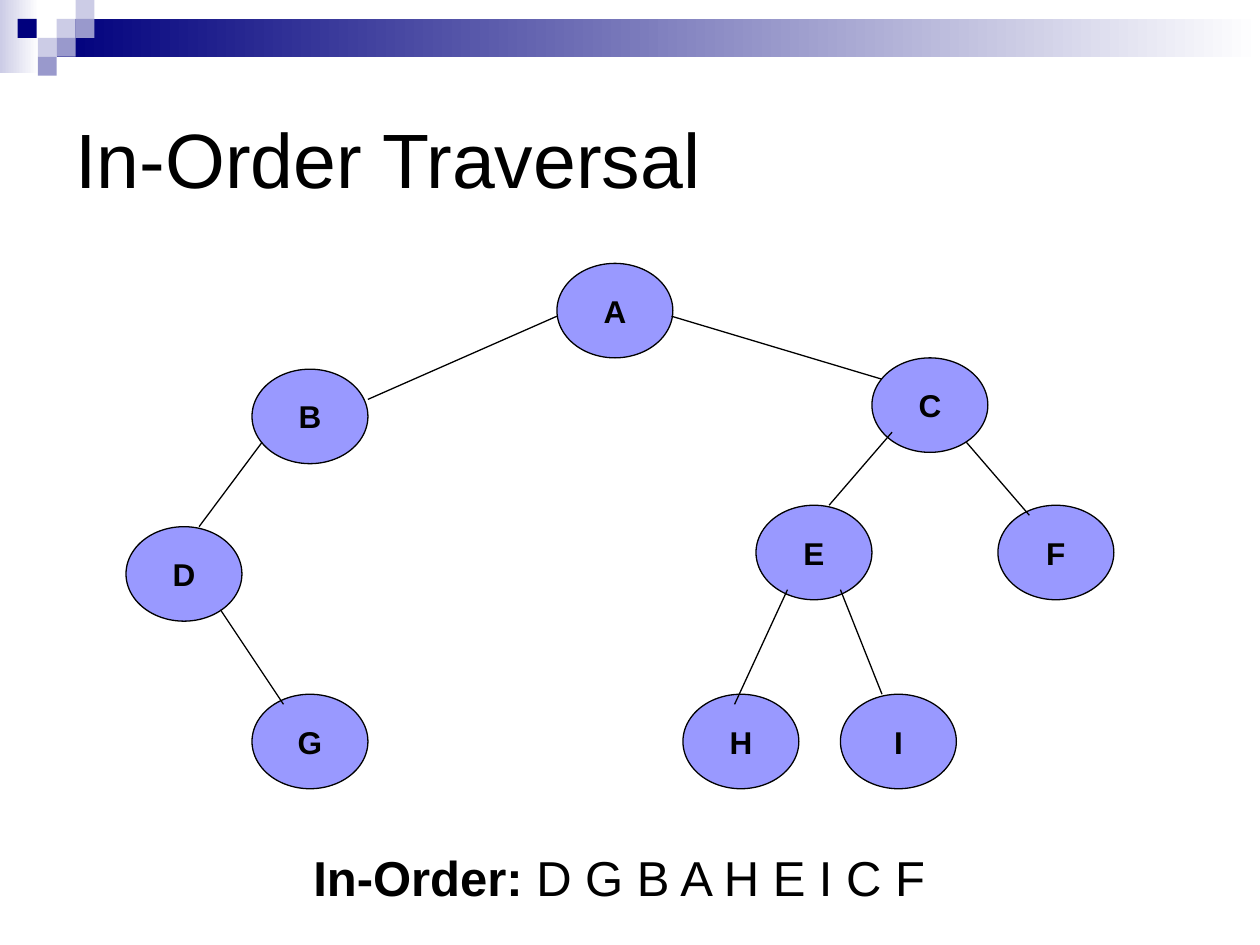
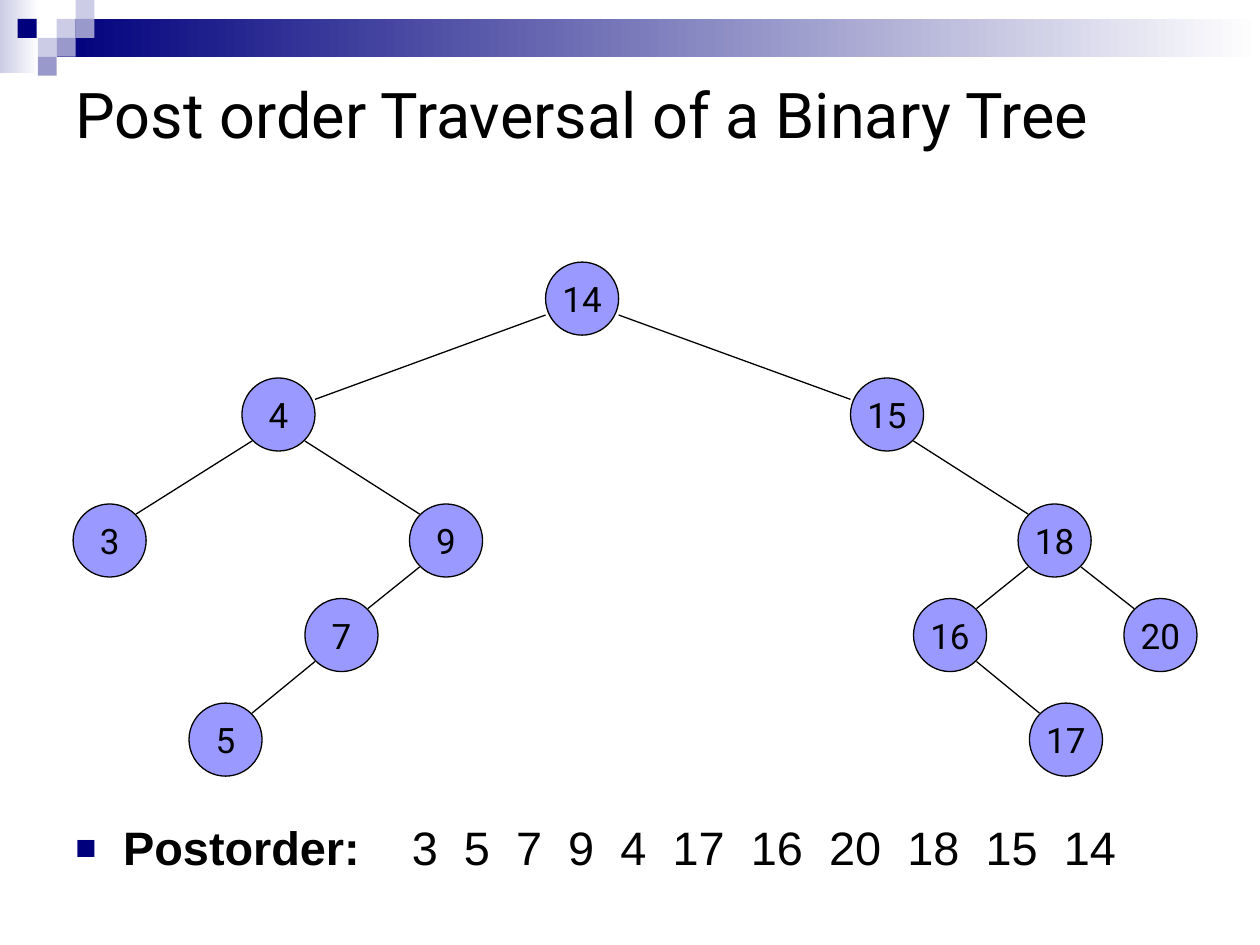
from lxml import etree
from pptx import Presentation
from pptx.dml.color import RGBColor
from pptx.enum.shapes import MSO_CONNECTOR, MSO_SHAPE
from pptx.enum.text import MSO_ANCHOR, MSO_AUTO_SIZE, PP_ALIGN
from pptx.oxml.ns import qn
from pptx.util import Inches, Pt

BLACK, NAVY, WHITE = "000000", "00007D", "FFFFFF"
NODE_FILL, PALE, MID = "9999FF", "CCCCE6", "9999CC"
SQUARE = 0.15
BAND_SQUARES = [(0.45, 0.15, PALE), (0.6, 0, PALE), (0.6, 0.15, MID), (0.3, 0.3, PALE),
                (0.14, 0.15, NAVY), (0.45, 0.3, MID), (0.3, 0.45, MID)]

LETTER_SIZE = (0.92, 0.75)
LETTER_NODES = {"A": (4.42, 2.09), "B": (2, 2.93), "C": (6.92, 2.84), "D": (1, 4.18),
                "E": (6, 4.01), "F": (7.92, 4.01), "G": (2, 5.51), "H": (5.42, 5.51),
                "I": (6.67, 5.51)}
LETTER_EDGES = [(4.42, 2.51, 2.92, 3.17), (5.33, 2.51, 7, 3.01), (2.08, 3.51, 1.58, 4.18),
                (1.75, 4.84, 2.25, 5.59), (7.08, 3.43, 6.58, 4.01), (7.67, 3.51, 8.17, 4.09),
                (6.25, 4.68, 5.83, 5.59), (6.67, 4.68, 7, 5.51)]

NUMBER_SIZE = (0.58, 0.58)
NUMBER_ROOT = "14"
NUMBER_NODES = {"14": (4.33, 2.08), "4": (1.92, 3), "15": (6.75, 3), "3": (0.58, 4),
                "9": (3.25, 4), "18": (8.08, 4), "7": (2.42, 4.75), "16": (7.25, 4.75),
                "20": (8.92, 4.75), "5": (1.5, 5.58), "17": (8.17, 5.58)}
NUMBER_EDGES = [("14", "4"), ("14", "15"), ("4", "3"), ("4", "9"), ("9", "7"), ("7", "5"),
                ("15", "18"), ("18", "16"), ("18", "20"), ("16", "17")]
POSTORDER = ["3", "5", "7", "9", "4", "17", "16", "20", "18", "15", "14"]


def rgb(color):
    return RGBColor.from_string(color)


def add_run(p, text, size, font="Arial", bold=False):
    r = p.add_run()
    r.text = text
    r.font.size, r.font.name, r.font.bold = Pt(size), font, bold
    r.font.color.rgb = rgb(BLACK)


def add_rect(slide, x, y, w, h, color, fade_to=None):
    sp = slide.shapes.add_shape(MSO_SHAPE.RECTANGLE, *map(Inches, (x, y, w, h)))
    sp.shadow.inherit = False
    sp.line.fill.background()
    if fade_to:
        sp.fill.gradient()
        sp.fill.gradient_angle = 0
        for stop, stop_color in zip(sp.fill.gradient_stops, (color, fade_to)):
            stop.color.rgb = rgb(stop_color)
    else:
        sp.fill.solid()
        sp.fill.fore_color.rgb = rgb(color)
    return sp


def add_master_band(prs, slide):
    """Draw the top band on a slide, then move it to the back of the master."""
    band = [add_rect(slide, 0, 0, 0.31, 0.58, PALE, WHITE),
            add_rect(slide, 0.45, 0.15, 9.55, 0.3, NAVY, WHITE)]
    band += [add_rect(slide, x, y, SQUARE, SQUARE, color) for x, y, color in BAND_SQUARES]
    for i, sp in enumerate(band, start=2):
        prs.slide_master.shapes.element.insert(i, sp.element)


def set_title(slide, text, top, height, size, font):
    title = slide.shapes.title
    title.left, title.top = Inches(0.5), Inches(top)
    title.width, title.height = Inches(9), Inches(height)
    tf = title.text_frame
    tf.vertical_anchor = MSO_ANCHOR.MIDDLE
    p = tf.paragraphs[0]
    p.alignment = PP_ALIGN.LEFT
    add_run(p, text, size, font)


def add_node(slide, label, position, node_size, size, font, bold=False):
    sp = slide.shapes.add_shape(MSO_SHAPE.OVAL, *map(Inches, position + node_size))
    sp.shadow.inherit = False
    sp.fill.solid()
    sp.fill.fore_color.rgb = rgb(NODE_FILL)
    sp.line.color.rgb = rgb(BLACK)
    sp.line.width = Pt(0.75)
    tf = sp.text_frame
    tf.word_wrap = False
    tf.vertical_anchor = MSO_ANCHOR.MIDDLE
    p = tf.paragraphs[0]
    p.alignment = PP_ALIGN.CENTER
    add_run(p, label, size, font, bold)


def add_edge(slide, x1, y1, x2, y2):
    line = slide.shapes.add_connector(MSO_CONNECTOR.STRAIGHT, *map(Inches, (x1, y1, x2, y2)))
    line.line.color.rgb = rgb(BLACK)
    line.line.width = Pt(0.75)
    etree.SubElement(line.element.spPr, qn("a:effectLst"))


def number_edge(parent, child):
    """Ends of an edge: the root joins at the sides, other nodes at the corners."""
    (px, py), (cx, cy) = NUMBER_NODES[parent], NUMBER_NODES[child]
    if parent == NUMBER_ROOT:
        left, right, leave, arrive = 0, 0.58, 0.42, 0.17
    else:
        left, right, leave, arrive = 0.08, 0.5, 0.5, 0.08
    start, end = (left, right) if cx < px else (right, left)
    return px + start, py + leave, cx + end, cy + arrive


def add_text_box(slide, x, y, w, h):
    tf = slide.shapes.add_textbox(*map(Inches, (x, y, w, h))).text_frame
    tf.word_wrap = True
    return tf


def add_bullet_and_tabs(p, indent, tabs):
    pPr = p._p.get_or_add_pPr()
    pPr.set("marL", str(Inches(indent)))
    pPr.set("indent", str(-Inches(indent)))
    color = etree.SubElement(pPr, qn("a:buClr"))
    etree.SubElement(color, qn("a:srgbClr"), val=NAVY)
    etree.SubElement(pPr, qn("a:buSzPct"), val="75000")
    etree.SubElement(pPr, qn("a:buFont"), typeface="Arial")
    etree.SubElement(pPr, qn("a:buChar"), char="■")
    tab_list = etree.SubElement(pPr, qn("a:tabLst"))
    for tab in tabs:
        etree.SubElement(tab_list, qn("a:tab"), pos=str(Inches(tab)), algn="l")


def number_tabs(numbers, first, digit_width):
    """Tab stops that leave two spaces, as wide as a digit, after each number."""
    tabs = [first]
    for number in numbers[:-1]:
        tabs.append(tabs[-1] + digit_width * (len(number) + 1))
    return tabs


def build_in_order(slide):
    set_title(slide, "In-Order Traversal", 0.5, 1.5, 44, "Arial")
    for label, position in LETTER_NODES.items():
        add_node(slide, label, position, LETTER_SIZE, 18, "Arial", bold=True)
    for edge in LETTER_EDGES:
        add_edge(slide, *edge)
    tf = add_text_box(slide, 1, 6.68, 7.83, 0.57)
    tf.auto_size = MSO_AUTO_SIZE.SHAPE_TO_FIT_TEXT
    p = tf.paragraphs[0]
    p.alignment = PP_ALIGN.CENTER
    add_run(p, "In-Order:", 28, bold=True)
    add_run(p, " D G B A H E I C F", 28)


def build_post_order(slide):
    set_title(slide, "Post order Traversal of a Binary Tree", 0.4, 1, 36, "Roboto")
    for label, position in NUMBER_NODES.items():
        add_node(slide, label, position, NUMBER_SIZE, 20, "Roboto")
    for parent, child in NUMBER_EDGES:
        add_edge(slide, *number_edge(parent, child))
    p = add_text_box(slide, 0.5, 6.5, 9, 0.75).paragraphs[0]
    add_bullet_and_tabs(p, 0.38, number_tabs(POSTORDER, 2.67, 0.207))
    p.line_spacing = 0.9
    add_run(p, "Postorder:", 26.8, bold=True)
    for number in POSTORDER:
        add_run(p, "\t" + number, 26.8)


def main():
    prs = Presentation()
    prs.slide_width, prs.slide_height = Inches(10), Inches(7.5)
    title_only = prs.slide_layouts[5]
    in_order = prs.slides.add_slide(title_only)
    add_master_band(prs, in_order)
    build_in_order(in_order)
    build_post_order(prs.slides.add_slide(title_only))
    prs.save("out.pptx")


if __name__ == "__main__":
    main()
